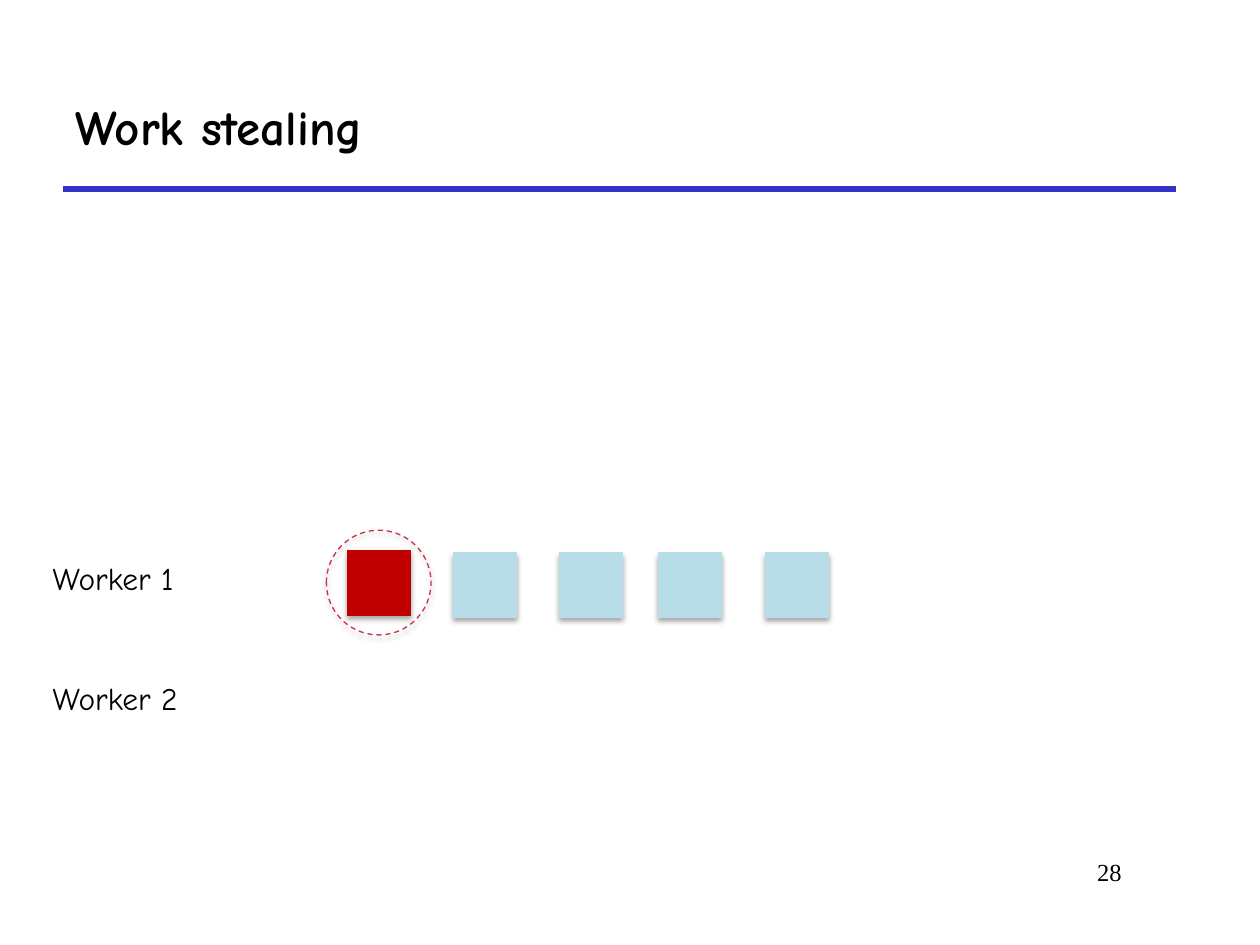
"""Build the slide on work stealing between two workers."""
import lxml.etree
import pptx
import pptx.dml.color
import pptx.enum.dml
import pptx.enum.shapes
import pptx.enum.text
import pptx.oxml
import pptx.oxml.ns
import pptx.util

Cm, Pt = pptx.util.Cm, pptx.util.Pt
RGB = pptx.dml.color.RGBColor.from_string
Kind = pptx.enum.shapes.MSO_SHAPE
Align = pptx.enum.text.PP_ALIGN
Anchor = pptx.enum.text.MSO_ANCHOR

hues = {"text": "000000", "rule": "3333CC", "stolen": "C00000",
        "task": "B7DEE8", "ring": "CD3042"}
shadow = (
    f'<a:outerShdw {pptx.oxml.ns.nsdecls("a")} blurRad="{Pt(3.1)}" dist="{Pt(1.8)}" '
    'dir="5400000" rotWithShape="0"><a:srgbClr val="000000">'
    '<a:alpha val="35000"/></a:srgbClr></a:outerShdw>')

deck = pptx.Presentation()
deck.slide_width, deck.slide_height = Cm(25.4), Cm(19.05)
slide = deck.slides.add_slide(deck.slide_layouts[6])
shapes = slide.shapes


def write(text, left, top, width, height, size=18, face="Comic Neue", bold=False,
          align=Align.LEFT, anchor=Anchor.TOP, wrap=True):
    box = shapes.add_textbox(Cm(left), Cm(top), Cm(width), Cm(height))
    frame = box.text_frame
    frame.word_wrap = wrap
    frame.vertical_anchor = anchor
    if not wrap:
        frame.auto_size = pptx.enum.text.MSO_AUTO_SIZE.SHAPE_TO_FIT_TEXT
    line = frame.paragraphs[0]
    line.alignment = align
    run = line.add_run()
    run.text = text
    run.font.size, run.font.name, run.font.bold = Pt(size), face, bold
    run.font.color.rgb = RGB(hues["text"])


def draw(kind, hue, left, top, width, height, solid=True):
    shape = shapes.add_shape(kind, Cm(left), Cm(top), Cm(width), Cm(height))
    shape.line.color.rgb = RGB(hues[hue])
    shape.line.width = Pt(0.75)
    if solid:
        shape.fill.solid()
        shape.fill.fore_color.rgb = RGB(hues[hue])
    else:
        shape.fill.background()
        shape.line.dash_style = pptx.enum.dml.MSO_LINE.DASH
    shape.shadow.inherit = False
    effects = shape.element.spPr.find(pptx.oxml.ns.qn("a:effectLst"))
    effects.append(pptx.oxml.parse_xml(shadow))


rule = shapes.add_connector(pptx.enum.shapes.MSO_CONNECTOR.STRAIGHT,
                            Cm(1.27), Cm(3.81), Cm(23.7), Cm(3.81))
rule.line.color.rgb = RGB(hues["rule"])
rule.line.width = Pt(3)
lxml.etree.SubElement(rule.element.spPr, pptx.oxml.ns.qn("a:effectLst"))

write("Work stealing", 1.27, 1.27, 22.43, 2.54, size=28, bold=True, anchor=Anchor.MIDDLE)
write("28", 17.58, 17.15, 5.28, 1.27, size=14, face="Times New Roman", align=Align.RIGHT)

draw(Kind.RECTANGLE, "stolen", 7.01, 11.1, 1.27, 1.3)
for name, top, width in (("Worker 1", 11.15, 3.3), ("Worker 2", 13.56, 3.4)):
    write(name, 0.81, top, width, 1.02, wrap=False)
draw(Kind.OVAL, "ring", 6.58, 10.69, 2.11, 2.11, solid=False)
for left in (9.14, 11.28, 13.28, 15.44):
    draw(Kind.RECTANGLE, "task", left, 11.15, 1.27, 1.3)

deck.save("out.pptx")
